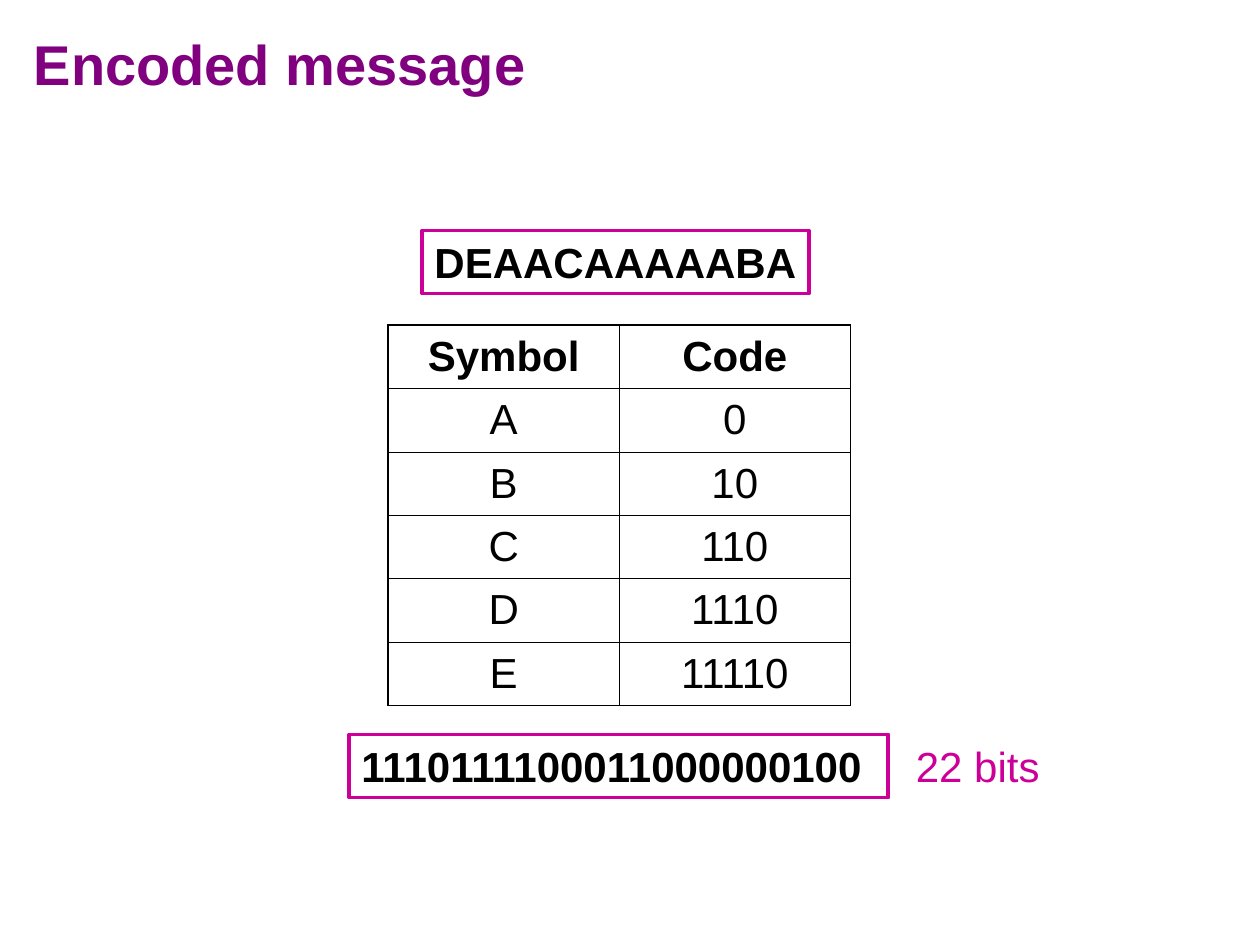
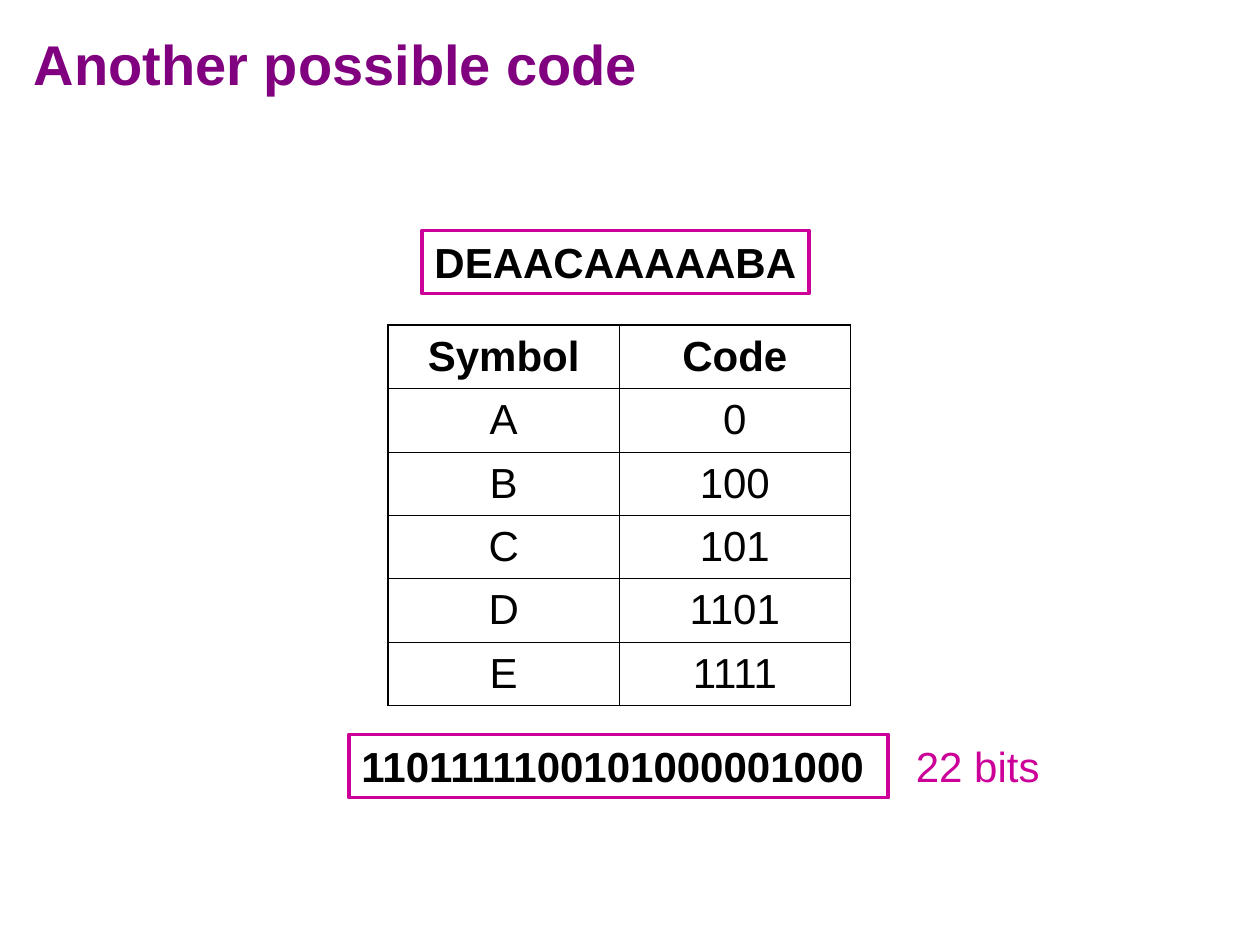
from lxml.etree import SubElement
from pptx import Presentation
from pptx.dml.color import RGBColor
from pptx.enum.shapes import MSO_SHAPE
from pptx.enum.text import MSO_ANCHOR, PP_ALIGN
from pptx.oxml.ns import qn
from pptx.util import Inches, Pt

PURPLE = RGBColor(0x80, 0x00, 0x80)
MAGENTA = RGBColor(0xCC, 0x00, 0x99)
BLACK = RGBColor(0x00, 0x00, 0x00)
WHITE = RGBColor(0xFF, 0xFF, 0xFF)

FONT = "Arial"
OUTER_BORDER = Pt(1.08)
INNER_BORDER = Pt(0.45)

TITLE_BOX = (0.17, 0.04, 9.67, 0.92)
MESSAGE_BOX = (3.35, 1.83, 3.07, 0.5)
TABLE_BOX = (3.08, 2.58, 3.67, 3.02)
ENCODED_BOX = (2.77, 5.83, 4.28, 0.5)
BIT_COUNT_BOX = (7.17, 5.83, 1.18, 0.5)

MESSAGE = "DEAACAAAAABA"
CODES = [
    ("Encoded message", {"A": "0", "B": "10", "C": "110", "D": "1110", "E": "11110"}),
    ("Another possible code", {"A": "0", "B": "100", "C": "101", "D": "1101", "E": "1111"}),
]


def inches(box):
    return [Inches(length) for length in box]


def write(text_frame, text, color=BLACK, size=24, bold=False, align=PP_ALIGN.LEFT):
    paragraph = text_frame.paragraphs[0]
    paragraph.alignment = align
    run = paragraph.add_run()
    run.text = text
    run.font.name = FONT
    run.font.size = Pt(size)
    run.font.bold = bold
    run.font.color.rgb = color


def add_label(slide, box, text, color, size=24, bold=False, anchor=MSO_ANCHOR.TOP):
    text_frame = slide.shapes.add_textbox(*inches(box)).text_frame
    text_frame.word_wrap = True
    text_frame.margin_right = 0
    text_frame.vertical_anchor = anchor
    write(text_frame, text, color, size, bold)


def add_framed_text(slide, box, text):
    shape = slide.shapes.add_shape(MSO_SHAPE.RECTANGLE, *inches(box))
    shape.shadow.inherit = False
    shape.fill.background()
    shape.line.color.rgb = MAGENTA
    shape.line.width = Pt(2.25)
    text_frame = shape.text_frame
    text_frame.word_wrap = True
    text_frame.margin_right = 0
    text_frame.vertical_anchor = MSO_ANCHOR.TOP
    write(text_frame, text, bold=True)


def set_borders(cell, outer_edges):
    properties = cell._tc.get_or_add_tcPr()
    for edge, is_outer in outer_edges.items():
        width = OUTER_BORDER if is_outer else INNER_BORDER
        line = SubElement(properties, qn(f"a:ln{edge}"), w=str(int(width)))
        fill = SubElement(line, qn("a:solidFill"))
        SubElement(fill, qn("a:srgbClr"), val=str(BLACK))


def add_code_table(slide, box, code):
    rows = [("Symbol", "Code"), *code.items()]
    last_row, last_column = len(rows) - 1, len(rows[0]) - 1
    table = slide.shapes.add_table(len(rows), len(rows[0]), *inches(box)).table
    table.first_row = False
    table.horz_banding = False
    for row_index, row in enumerate(rows):
        for column_index, text in enumerate(row):
            cell = table.cell(row_index, column_index)
            set_borders(cell, {
                "L": column_index == 0,
                "R": column_index == last_column,
                "T": row_index == 0,
                "B": row_index == last_row,
            })
            cell.fill.solid()
            cell.fill.fore_color.rgb = WHITE
            cell.vertical_anchor = MSO_ANCHOR.MIDDLE
            write(cell.text_frame, text, bold=row_index == 0, align=PP_ALIGN.CENTER)


def add_code_slide(presentation, title, code):
    slide = presentation.slides.add_slide(presentation.slide_layouts[6])
    encoded = "".join(code[symbol] for symbol in MESSAGE)
    add_label(slide, TITLE_BOX, title, PURPLE, 32, True, MSO_ANCHOR.MIDDLE)
    add_code_table(slide, TABLE_BOX, code)
    add_framed_text(slide, MESSAGE_BOX, MESSAGE)
    add_framed_text(slide, ENCODED_BOX, encoded)
    add_label(slide, BIT_COUNT_BOX, f"{len(encoded)} bits", MAGENTA)


def main():
    presentation = Presentation()
    presentation.slide_width = Inches(10)
    presentation.slide_height = Inches(7.5)
    for title, code in CODES:
        add_code_slide(presentation, title, code)
    presentation.save("out.pptx")


if __name__ == "__main__":
    main()
